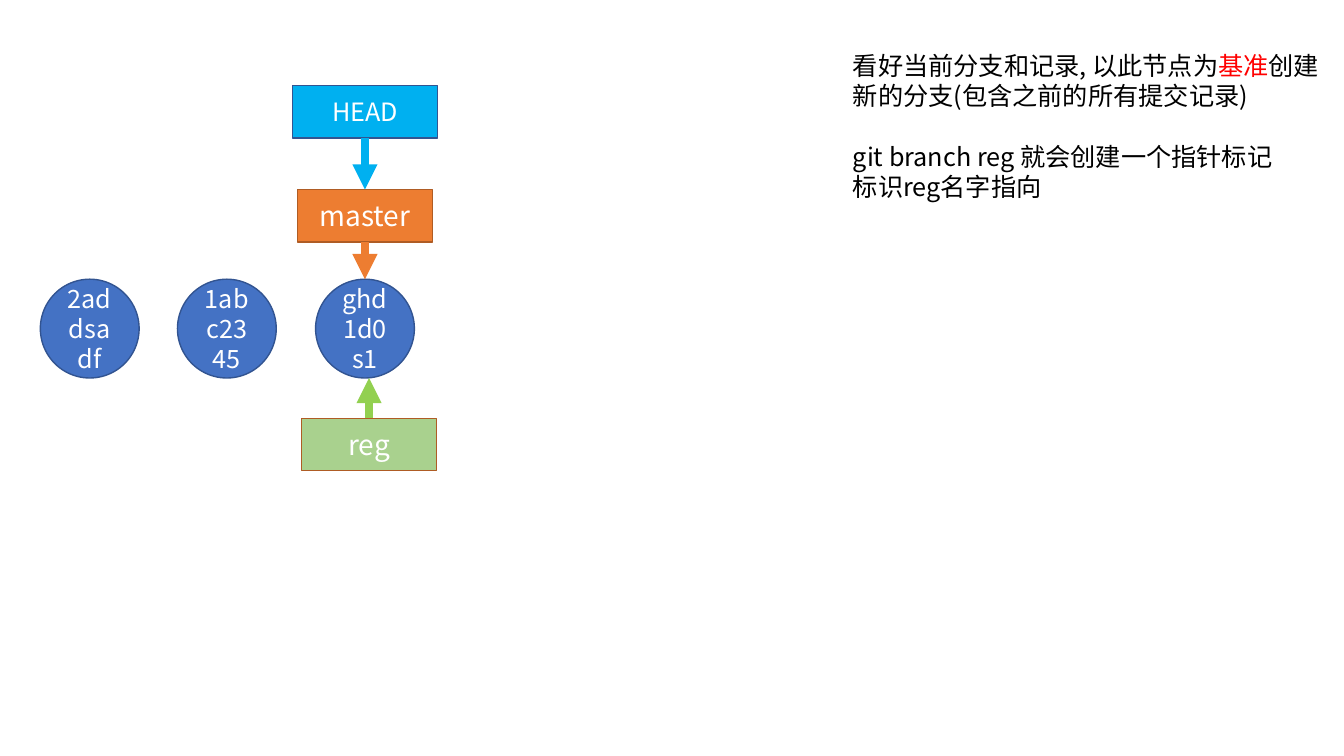
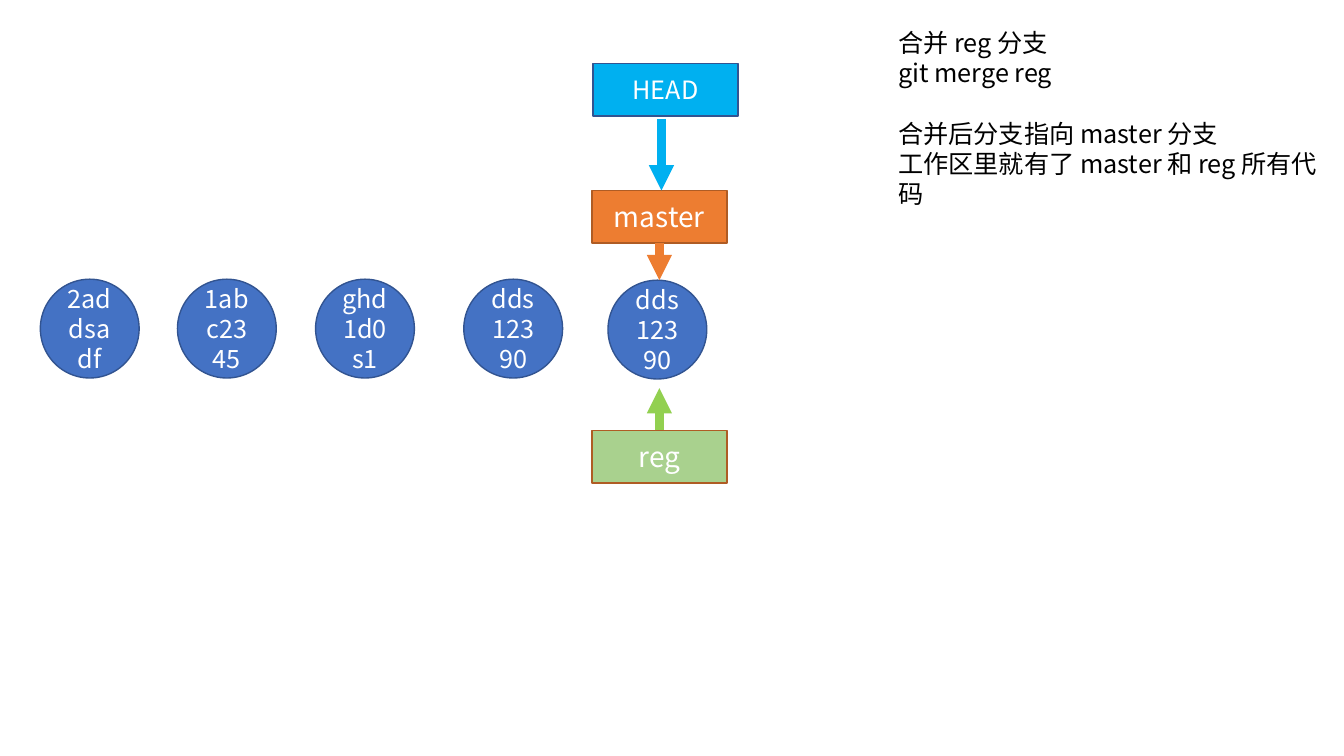
from pptx import Presentation
from pptx import util as u
from pptx.dml.color import RGBColor
from pptx.enum import shapes, text
from pptx.oxml.ns import qn
from lxml import etree

PX = 9144
FONT = "Noto Sans CJK SC"
COLORS = {
    "commit": "4472C4", "head": "00B0F0", "master": "ED7D31", "reg": "A9D18E",
    "reg_arrow": "92D050", "blue_line": "325491", "orange_line": "AF5C24",
    "white": "FFFFFF", "black": "000000", "red": "FF0000",
}
BRANCHES = {
    "HEAD": ("head", "blue_line", 144, 18),
    "master": ("master", "orange_line", 134, 20),
    "reg": ("reg", "orange_line", 134, 20),
}
BRANCH_HEIGHT = 52
COMMIT_SIZE = 98
SLIDES = [
    {
        "commits": [("2addsadf", 40, 277), ("1abc2345", 176, 277), ("ghd1d0s1", 313, 277)],
        "branches": {"HEAD": (290, 85), "master": (295, 188), "reg": (299, 415)},
        "arrows": [
            ("master", (362, 240), (362, 277), "master", "ghd1d0s1"),
            ("head", (362, 137), (362, 188), "HEAD", "master"),
            ("reg_arrow", (366, 415), (366, 375), "reg", None),
        ],
        "note": (836, 45, 502, 162),
        "paragraphs": [
            [("看好当前分支和记录, 以此节点为", "black"), ("基准", "red"),
             ("创建新的分支(包含之前的所有提交记录)", "black")],
            [("git branch reg 就会创建一个指针标记", "black")],
            [("标识reg名字指向", "black")],
        ],
        "gap_before": 1,
    },
    {
        "commits": [("2addsadf", 40, 277), ("1abc2345", 176, 277), ("ghd1d0s1", 313, 277),
                    ("dds12390", 460, 277), ("dds12390", 603, 278)],
        "branches": {"HEAD": (588, 63), "master": (587, 189), "reg": (587, 427)},
        "arrows": [
            ("master", (654, 241), (654, 278), "master", None),
            ("head", (656, 118), (656, 189), None, None),
            ("reg_arrow", (654, 427), (654, 385), "reg", None),
        ],
        "note": (881, 22, 460, 162),
        "paragraphs": [
            [("合并 reg 分支", "black")],
            [("git merge reg", "black")],
            [("合并后分支指向 master 分支", "black")],
            [("工作区里就有了 master 和 reg 所有代码", "black")],
        ],
        "gap_before": 2,
    },
]


def style_run(run, size, color):
    run.font.size = u.Pt(size)
    run.font.color.rgb = RGBColor.from_string(COLORS[color])
    run.font.name = FONT
    etree.SubElement(run.font._element, qn("a:ea"), typeface=FONT)


def add_node(slide, kind, label, box, fill, line, size):
    shape = slide.shapes.add_shape(kind, *[value * PX for value in box])
    shape.shadow.inherit = False
    shape.fill.solid()
    shape.fill.fore_color.rgb = RGBColor.from_string(COLORS[fill])
    shape.line.color.rgb = RGBColor.from_string(COLORS[line])
    shape.line.width = u.Pt(1)
    shape.text_frame.text = label
    shape.text_frame.word_wrap = True
    shape.text_frame.vertical_anchor = text.MSO_ANCHOR.MIDDLE
    paragraph = shape.text_frame.paragraphs[0]
    paragraph.alignment = text.PP_ALIGN.CENTER
    paragraph.line_spacing = u.Pt(size * 1.2)
    style_run(paragraph.runs[0], size, "white")
    return shape


presentation = Presentation()
presentation.slide_width = 1333 * PX
presentation.slide_height = 750 * PX

for content in SLIDES:
    slide = presentation.slides.add_slide(presentation.slide_layouts[6])
    nodes = {}
    for label, left, top in content["commits"]:
        nodes[label] = add_node(slide, shapes.MSO_SHAPE.OVAL, label,
                                (left, top, COMMIT_SIZE, COMMIT_SIZE), "commit", "blue_line", 18)
    for label, (left, top) in content["branches"].items():
        fill, line, width, size = BRANCHES[label]
        nodes[label] = add_node(slide, shapes.MSO_SHAPE.RECTANGLE, label,
                                (left, top, width, BRANCH_HEIGHT), fill, line, size)

    for color, start, end, source, target in content["arrows"]:
        arrow = slide.shapes.add_connector(shapes.MSO_CONNECTOR.STRAIGHT,
                                           *[value * PX for value in start + end])
        if source:
            arrow.begin_connect(nodes[source], 0 if source == "reg" else 2)
        if target:
            arrow.end_connect(nodes[target], 0)
        arrow.line.color.rgb = RGBColor.from_string(COLORS[color])
        arrow.line.width = u.Pt(6)
        etree.SubElement(arrow.line._get_or_add_ln(), qn("a:tailEnd"), type="triangle")
        etree.SubElement(arrow._element.spPr, qn("a:effectLst"))

    note = slide.shapes.add_textbox(*[value * PX for value in content["note"]])
    note.text_frame.word_wrap = True
    for index, pieces in enumerate(content["paragraphs"]):
        paragraph = note.text_frame.add_paragraph() if index else note.text_frame.paragraphs[0]
        paragraph.line_spacing = u.Pt(21.6)
        if index == content["gap_before"]:
            paragraph.space_before = u.Pt(21.6)
        for words, color in pieces:
            run = paragraph.add_run()
            run.text = words
            style_run(run, 18, color)

presentation.save("out.pptx")
